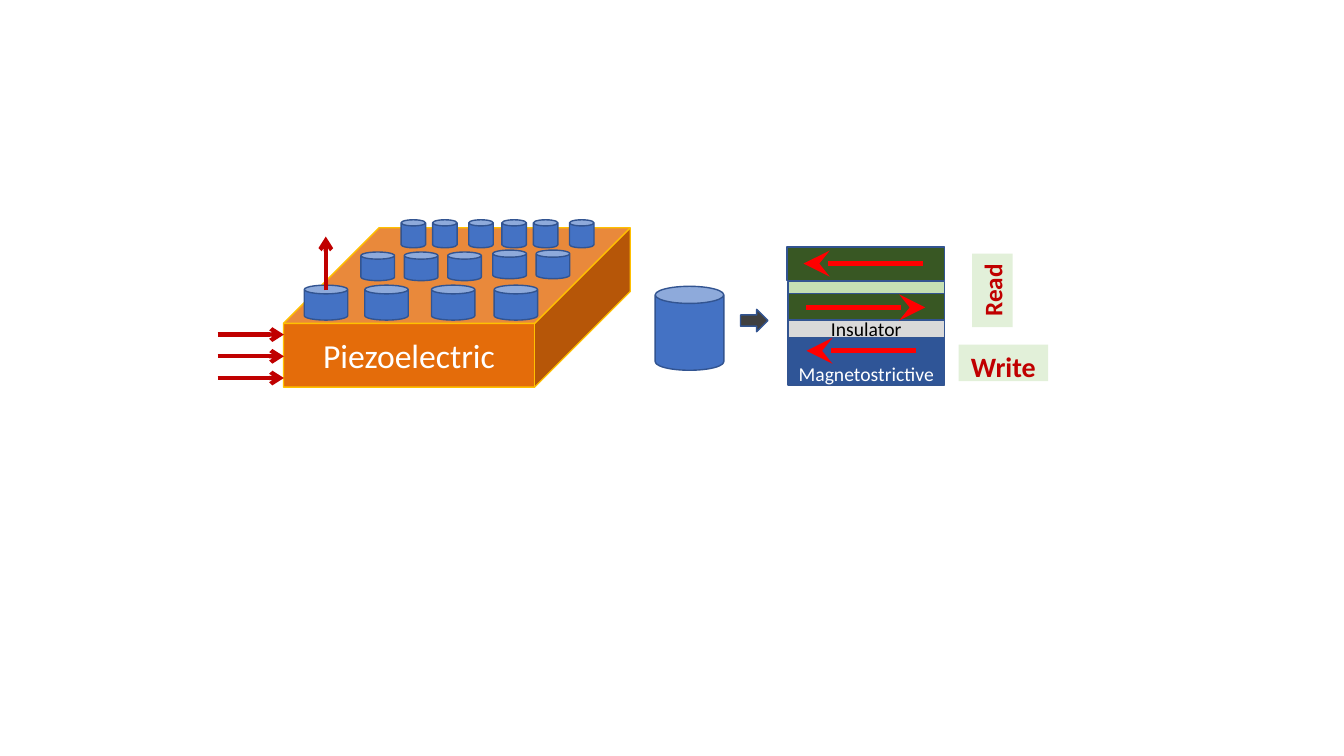
"""Builds a slide showing a piezoelectric memory array and one cell's layers."""
from lxml import etree
from pptx import Presentation
from pptx.dml.color import RGBColor
from pptx.enum import shapes, text
from pptx.oxml import ns
from pptx.util import Pt

BLUE = RGBColor(0x44, 0x72, 0xC4)
NAVY = RGBColor(0x32, 0x54, 0x91)
DEEP_BLUE = RGBColor(0x2F, 0x55, 0x97)
DARK_GREEN = RGBColor(0x38, 0x57, 0x23)
LIGHT_GREEN = RGBColor(0xC5, 0xE0, 0xB4)
PALE_GREEN = RGBColor(0xE2, 0xF0, 0xD9)
CHARCOAL = RGBColor(0x40, 0x40, 0x40)
GREY = RGBColor(0xD9, 0xD9, 0xD9)
ORANGE = RGBColor(0xE4, 0x6C, 0x0A)
GOLD = RGBColor(0xFF, 0xC0, 0x00)
RED = RGBColor(0xFF, 0x00, 0x00)
DARK_RED = RGBColor(0xC0, 0x00, 0x00)
WHITE = RGBColor(0xFF, 0xFF, 0xFF)
BLACK = RGBColor(0x00, 0x00, 0x00)

PRESET = shapes.MSO_SHAPE
ANCHOR = text.MSO_ANCHOR


class Diagram:
    """Draws styled elements into the current group of one slide."""

    font = "Calibri"

    def __init__(self, slide):
        self.slide = slide
        self.group = None

    def start_group(self):
        """Open a new group for the elements that follow."""
        self.group = self.slide.shapes.add_group_shape()

    def solid(self, preset, left, top, width, height, fill, line=NAVY):
        """Add a filled preset shape, outlined unless line is None."""
        shape = self.group.shapes.add_shape(
            preset, Pt(left), Pt(top), Pt(width), Pt(height))
        shape.shadow.inherit = False
        shape.fill.solid()
        shape.fill.fore_color.rgb = fill
        if line is None:
            shape.line.fill.background()
        else:
            shape.line.color.rgb = line
            shape.line.width = Pt(1)
        return shape

    def caption(self, shape, words, size, color, bold=False, anchor=ANCHOR.MIDDLE):
        """Put one centred, unwrapped line of text into a shape."""
        frame = shape.text_frame
        frame.word_wrap = False
        frame.vertical_anchor = anchor
        if anchor == ANCHOR.BOTTOM:
            frame.margin_bottom = 0
        frame.text = words
        paragraph = frame.paragraphs[0]
        paragraph.alignment = text.PP_ALIGN.CENTER
        font = paragraph.runs[0].font
        font.name, font.size, font.bold = self.font, Pt(size), bold
        font.color.rgb = color

    def tag(self, words, left, top, width, height, size, rotation=0):
        """Add a pale green label."""
        label = self.solid(PRESET.RECTANGLE, left, top, width, height,
                           PALE_GREEN, None)
        label.rotation = rotation
        self.caption(label, words, size, DARK_RED, True, ANCHOR.TOP)

    def cans(self, lefts, top, width, height):
        """Add a row of equal cylinders."""
        for left in lefts:
            self.solid(PRESET.CAN, left, top, width, height, BLUE)

    def arrow(self, x1, y1, x2, y2, color, weight, head, size):
        """Add a straight arrow."""
        line = self.group.shapes.add_connector(
            shapes.MSO_CONNECTOR.STRAIGHT, Pt(x1), Pt(y1), Pt(x2), Pt(y2))
        line.line.color.rgb = color
        line.line.width = Pt(weight)
        outline = line._element.spPr.find(ns.qn("a:ln"))
        etree.SubElement(outline, ns.qn("a:tailEnd"),
                         type=head, w=size, len=size)
        etree.SubElement(line._element.spPr, ns.qn("a:effectLst"))

    def spin(self, x1, x2, y):
        """Add a red magnetisation arrow."""
        self.arrow(x1, y, x2, y, RED, 3.75, "stealth", "lg")

    def field(self, x1, y1, x2, y2):
        """Add a dark red arrow for an applied field."""
        self.arrow(x1, y1, x2, y2, DARK_RED, 3, "arrow", "med")


def draw_cell(diagram):
    """Draw one memory cell and its layers."""
    diagram.start_group()
    diagram.cans([468], 204.5, 49, 60)
    diagram.solid(PRESET.RIGHT_ARROW, 529, 221, 19.5, 16, CHARCOAL)
    diagram.solid(PRESET.RECTANGLE, 562.3, 176.4, 112.3, 24, DARK_GREEN)
    magnet = diagram.solid(PRESET.RECTANGLE, 563, 240.5, 111.6, 34.5, DEEP_BLUE)
    diagram.caption(magnet, "Magnetostrictive", 14, WHITE, anchor=ANCHOR.BOTTOM)
    diagram.solid(PRESET.RECTANGLE, 563, 200.9, 111.6, 8.6, LIGHT_GREEN)
    diagram.solid(PRESET.RECTANGLE, 563, 209.5, 111.6, 20, DARK_GREEN)
    insulator = diagram.solid(PRESET.RECTANGLE, 563, 228.5, 111.6, 12.5, GREY)
    diagram.caption(insulator, "Insulator", 14, BLACK)
    diagram.spin(659, 574, 188.3)
    diagram.spin(576, 661, 219.6)
    diagram.spin(654.5, 576, 250.6)
    diagram.tag("Write", 684.7, 246.2, 64, 26, 20)
    diagram.tag("Read", 682.6, 193, 52.6, 28.8, 18, 270)


def draw_array(diagram):
    """Draw the piezoelectric block with its rows of cells and fields."""
    diagram.start_group()
    block = diagram.solid(PRESET.CUBE, 202.5, 162.7, 247.7, 113.8, ORANGE, GOLD)
    block.adjustments[0] = 0.6
    diagram.caption(block, "Piezoelectric", 24, WHITE)
    back = [286.5, 309, 334.8]
    diagram.cans(back + [left + 72 for left in back], 157, 17.5, 20)
    diagram.cans([257.8 + 31 * i for i in range(3)], 180, 24, 20.5)
    diagram.cans([352, 383], 178.6, 24, 20.5)
    diagram.cans([217.4, 260.6, 308.2, 353], 203.7, 31, 25)
    for i in range(3):
        y = 239 + 15.5 * i
        diagram.field(155.5, y, 202.8, y)
    diagram.field(232.7, 207.5, 232.7, 169)


def main():
    """Build and save the deck."""
    deck = Presentation()
    deck.slide_width, deck.slide_height = Pt(960), Pt(540)
    diagram = Diagram(deck.slides.add_slide(deck.slide_layouts[6]))
    draw_cell(diagram)
    draw_array(diagram)
    deck.save("out.pptx")


if __name__ == "__main__":
    main()
